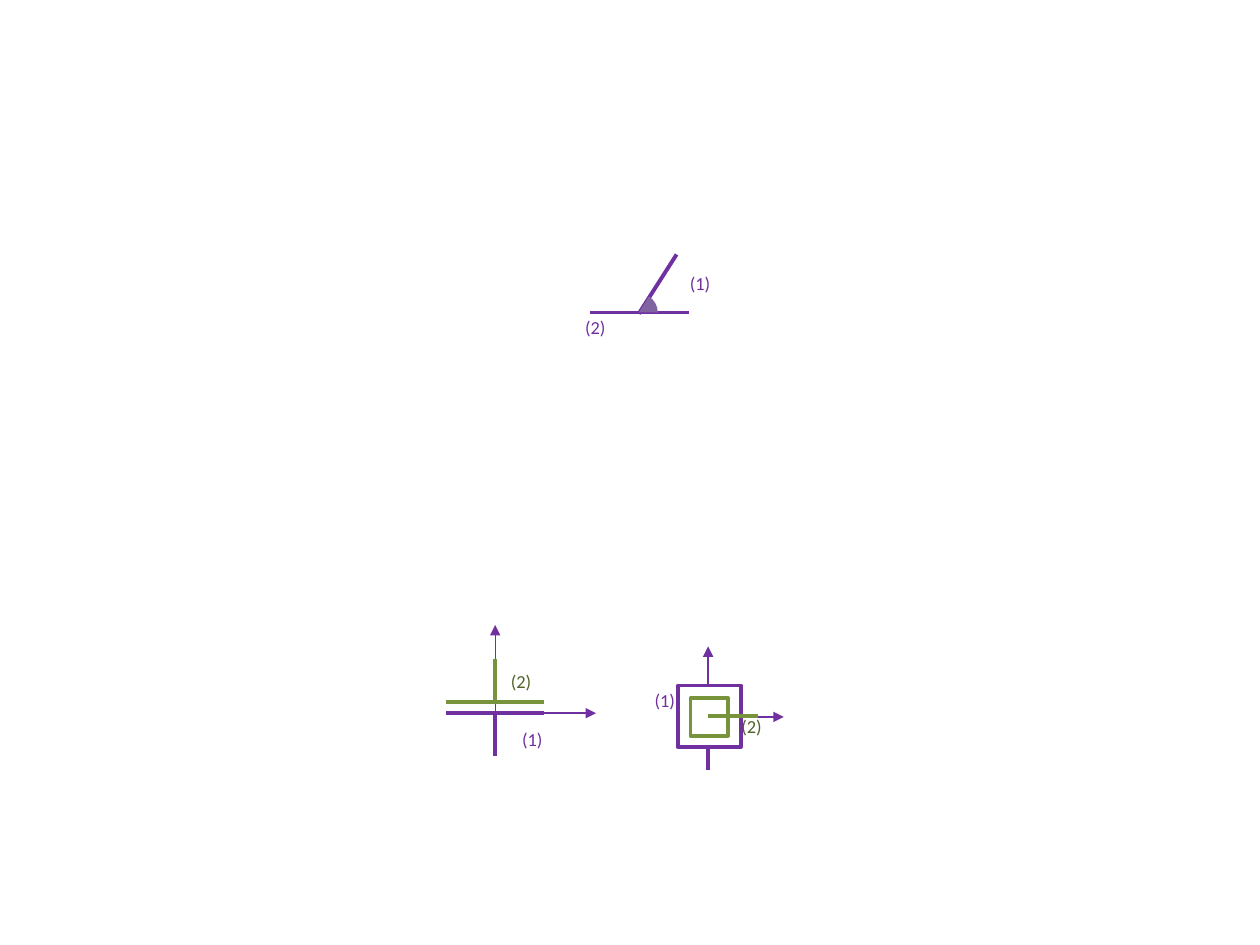
from pptx import Presentation
from pptx.dml.color import RGBColor
from pptx.enum.shapes import MSO_CONNECTOR, MSO_SHAPE
from pptx.enum.text import MSO_AUTO_SIZE, PP_ALIGN
from pptx.oxml.ns import qn
from pptx.util import Inches, Pt
from lxml.etree import SubElement

COLORS = {"purple": "7030A0", "green": "77933C", "dark": "4F6228",
          "violet": "8064A2", "white": "FFFFFF"}
THIN, MEDIUM, THICK = 0.75, 2, 2.25

# Items run from back to front.
# axis: start, end / bar: start, end, colour / label: left, top, text, colour
# square: left, top, width, height, colour
# wedge: centre x, centre y, radius, start angle in degrees, colour
TOP_VIEW = [
    ("axis", (5.42, 5.69), (6.22, 5.69)),
    ("axis", (5.62, 5.83), (5.62, 5.13)),
    ("square", 5.38, 5.44, 0.5, 0.49, "purple"),
    ("square", 5.48, 5.54, 0.3, 0.3, "green"),
    ("bar", (5.62, 5.92), (5.62, 6.11), "purple"),
    ("bar", (5.62, 5.68), (6.02, 5.68), "green"),
    ("label", 5.08, 5.42, "(1)", "purple"),
    ("label", 5.77, 5.63, "(2)", "dark"),
]
SIDE_VIEW = [
    ("axis", (3.93, 5.66), (3.93, 4.96)),
    ("bar", (3.54, 5.57), (4.32, 5.57), "green"),
    ("bar", (3.54, 5.66), (4.32, 5.66), "purple"),
    ("bar", (3.93, 5.67), (3.93, 6), "purple"),
    ("bar", (3.93, 5.23), (3.93, 5.56), "green"),
    ("axis", (3.93, 5.66), (4.73, 5.66)),
    ("label", 4.03, 5.73, "(1)", "purple"),
    ("label", 3.94, 5.27, "(2)", "dark"),
]
ANGLE = [
    ("bar", (4.68, 2.48), (5.47, 2.48), "purple"),
    ("bar", (5.07, 2.49), (5.37, 2.02), "purple"),
    ("wedge", 5.07, 2.48, 0.145, 302.25, "violet"),
    ("label", 5.36, 2.11, "(1)", "purple"),
    ("label", 4.53, 2.46, "(2)", "purple"),
]


def rgb(name):
    return RGBColor.from_string(COLORS[name])


def add_bar(shapes, start, end, color, weight=THICK):
    line = shapes.add_connector(MSO_CONNECTOR.STRAIGHT,
                                *map(Inches, (*start, *end)))
    line.line.color.rgb = rgb(color)
    line.line.width = Pt(weight)
    SubElement(line._element.spPr, qn("a:effectLst"))
    return line


def add_axis(shapes, start, end):
    line = add_bar(shapes, start, end, "purple", THIN)
    SubElement(line.line._get_or_add_ln(), qn("a:tailEnd"), type="triangle")


def add_outlined(shapes, kind, box, fill, color, weight):
    sp = shapes.add_shape(kind, *map(Inches, box))
    sp.shadow.inherit = False
    sp.fill.solid()
    sp.fill.fore_color.rgb = rgb(fill)
    sp.line.color.rgb = rgb(color)
    sp.line.width = Pt(weight)
    return sp


def add_square(shapes, left, top, width, height, color):
    add_outlined(shapes, MSO_SHAPE.RECTANGLE, (left, top, width, height),
                 "white", color, MEDIUM)


def add_wedge(shapes, x, y, radius, angle, color):
    box = (x - radius, y - radius, 2 * radius, 2 * radius)
    sp = add_outlined(shapes, MSO_SHAPE.ARC, box, color, color, THIN)
    # An arc angle is kept in 1/60000 degree, an adjustment in 1/100000.
    sp.adjustments[0] = angle * 0.6
    sp.adjustments[1] = 0


def add_label(shapes, left, top, text, color):
    tf = shapes.add_textbox(*map(Inches, (left, top, 0.39, 0.29))).text_frame
    tf.word_wrap = True
    tf.auto_size = MSO_AUTO_SIZE.SHAPE_TO_FIT_TEXT
    p = tf.paragraphs[0]
    p.alignment = PP_ALIGN.CENTER
    r = p.add_run()
    r.text = text
    r.font.name = "Calibri"
    r.font.size = Pt(10.5)
    r.font.color.rgb = rgb(color)


DRAW = {"axis": add_axis, "bar": add_bar, "square": add_square,
        "wedge": add_wedge, "label": add_label}

prs = Presentation()
prs.slide_width, prs.slide_height = Inches(10), Inches(7.5)
s = prs.slides.add_slide(prs.slide_layouts[6])
for items in (TOP_VIEW + SIDE_VIEW, ANGLE):
    group = s.shapes.add_group_shape()
    for kind, *args in items:
        DRAW[kind](group.shapes, *args)
prs.save("out.pptx")
